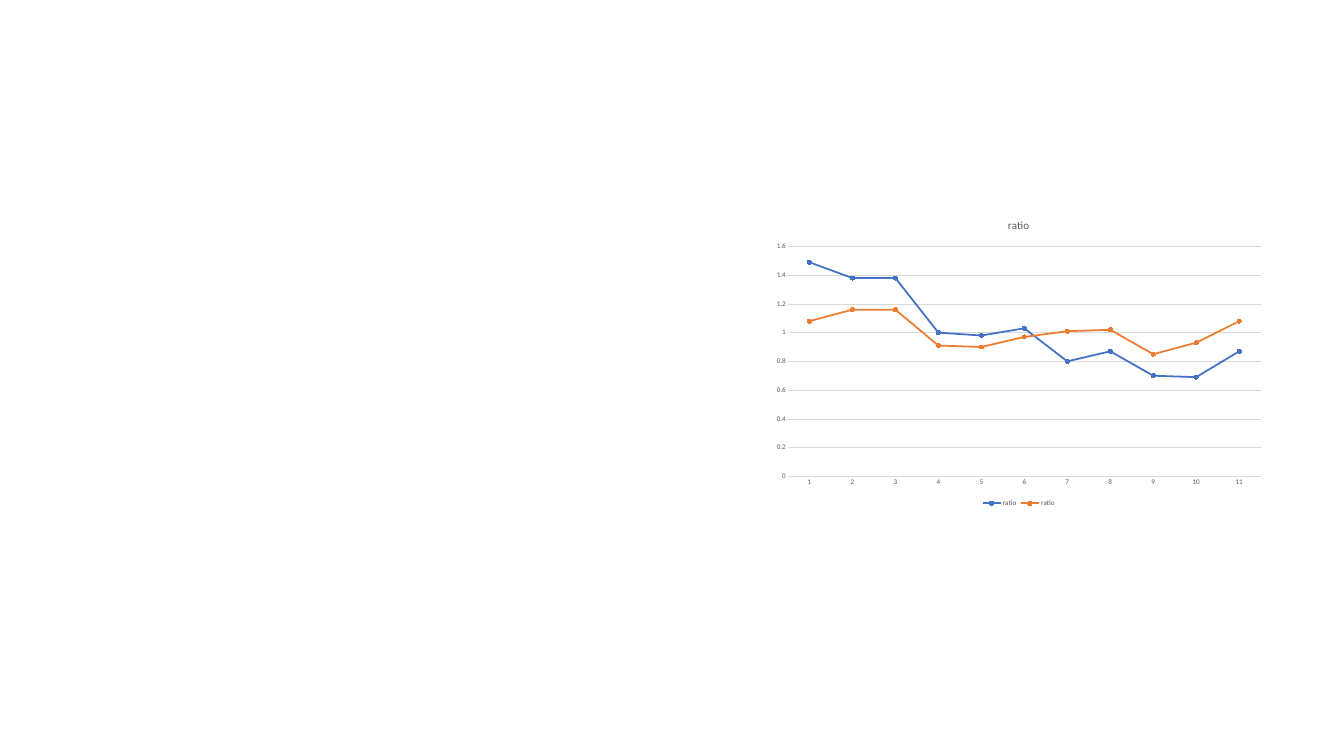
import pptx
import pptx.chart.data
import pptx.dml.color
import pptx.enum.chart
import pptx.util

Cm, Pt = pptx.util.Cm, pptx.util.Pt
BLUE = pptx.dml.color.RGBColor(0x44, 0x72, 0xC4)
ORANGE = pptx.dml.color.RGBColor(0xED, 0x7D, 0x31)
TEXT_GREY = pptx.dml.color.RGBColor(0x59, 0x59, 0x59)
LINE_GREY = pptx.dml.color.RGBColor(0xD9, 0xD9, 0xD9)

presentation = pptx.Presentation()
presentation.slide_width = Cm(60.2)
presentation.slide_height = Cm(33.86)
slide = presentation.slides.add_slide(presentation.slide_layouts[6])

ratios = pptx.chart.data.CategoryChartData()
ratios.categories = [str(number) for number in range(1, 12)]
ratios.add_series("ratio", [1.49, 1.38, 1.38, 1, 0.98, 1.03, 0.8, 0.87, 0.7, 0.69, 0.87])
ratios.add_series("ratio", [1.08, 1.16, 1.16, 0.91, 0.9, 0.97, 1.01, 1.02, 0.85, 0.93, 1.08])
ratio_chart = slide.shapes.add_chart(
    pptx.enum.chart.XL_CHART_TYPE.LINE_MARKERS,
    Cm(34.34), Cm(9.27), Cm(22.58), Cm(13.56), ratios,
).chart
ratio_chart.font.name = "Calibri"
ratio_chart.font.size = Pt(9)
ratio_chart.font.color.rgb = TEXT_GREY

ratio_chart.has_title = True
ratio_chart.chart_title.include_in_layout = False
title = ratio_chart.chart_title.text_frame.paragraphs[0]
title.text = "ratio"
title.font.name = "Calibri"
title.font.size = Pt(14)
title.font.bold = False
title.font.color.rgb = TEXT_GREY

ratio_chart.has_legend = True
ratio_chart.legend.position = pptx.enum.chart.XL_LEGEND_POSITION.BOTTOM
ratio_chart.legend.include_in_layout = False

number_axis, ratio_axis = ratio_chart.category_axis, ratio_chart.value_axis
for axis in (number_axis, ratio_axis):
    axis.major_tick_mark = pptx.enum.chart.XL_TICK_MARK.NONE
    axis.minor_tick_mark = pptx.enum.chart.XL_TICK_MARK.NONE
ratio_axis.minimum_scale = 0
ratio_axis.maximum_scale = 1.6
ratio_axis.major_unit = 0.2
ratio_axis.has_major_gridlines = True
ratio_axis.format.line.fill.background()
for grey_line in (number_axis.format.line, ratio_axis.major_gridlines.format.line):
    grey_line.color.rgb = LINE_GREY
    grey_line.width = Pt(0.75)

plot = ratio_chart.plots[0]
plot.vary_by_categories = False
for ratio, color in zip(plot.series, (BLUE, ORANGE)):
    ratio.smooth = False
    ratio.format.line.color.rgb = color
    ratio.format.line.width = Pt(2.25)
    ratio.marker.style = pptx.enum.chart.XL_MARKER_STYLE.CIRCLE
    ratio.marker.size = 5
    ratio.marker.format.fill.solid()
    ratio.marker.format.fill.fore_color.rgb = color
    ratio.marker.format.line.color.rgb = color

presentation.save("out.pptx")
